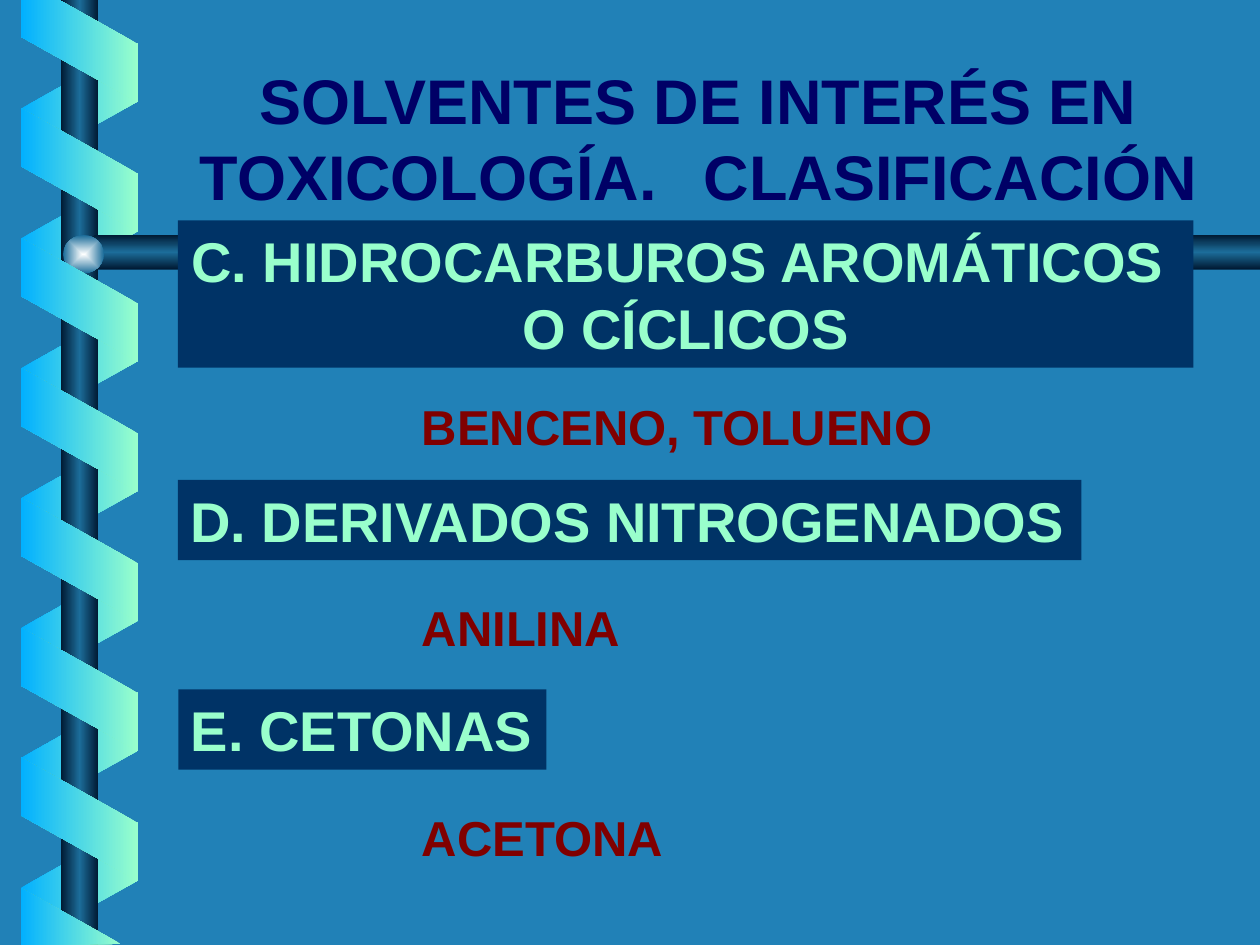
from pptx import Presentation
from pptx.dml.color import RGBColor
from pptx.enum.shapes import MSO_SHAPE
from pptx.enum.text import MSO_ANCHOR, MSO_AUTO_SIZE, PP_ALIGN
from pptx.oxml import parse_xml
from pptx.oxml.ns import nsdecls, qn
from pptx.util import Pt

RECTANGLE, OVAL, PARALLELOGRAM = MSO_SHAPE.RECTANGLE, MSO_SHAPE.OVAL, MSO_SHAPE.PARALLELOGRAM
CENTER, LEFT = PP_ALIGN.CENTER, PP_ALIGN.LEFT
TOP, MIDDLE = MSO_ANCHOR.TOP, MSO_ANCHOR.MIDDLE
NO_AUTOSIZE = MSO_AUTO_SIZE.NONE

BACKDROP = RGBColor(0x21, 0x81, 0xB7)
NAVY = RGBColor(0x00, 0x00, 0x66)
PANEL = RGBColor(0x00, 0x33, 0x66)
MINT = RGBColor(0x99, 0xFF, 0xCC)
SKY = RGBColor(0x01, 0xB0, 0xFF)
MAROON = RGBColor(0x80, 0x00, 0x00)
DARK = RGBColor(0x00, 0x19, 0x32)
STEEL = RGBColor(0x1C, 0x6D, 0x9A)
GLINT = RGBColor(0xFE, 0xFF, 0xFF)

TITLE = "SOLVENTES DE INTERÉS EN TOXICOLOGÍA. \tCLASIFICACIÓN"
TITLE_BOX = (102.2, 31.7, 594, 93.6)
GROUPS = [
    (["C. HIDROCARBUROS AROMÁTICOS ", "O CÍCLICOS"], CENTER, (101.6, 126, 580.4, 84.2)),
    (["D. DERIVADOS NITROGENADOS"], LEFT, (101.6, 274.2, 516.4, 45.9)),
    (["E. CETONAS"], LEFT, (102, 394, 210.2, 45.9)),
]
EXAMPLES = [
    ("BENCENO, TOLUENO ", (234, 223.2, 313.2, 41)),
    ("ANILINA", (234, 337.7, 127.4, 41)),
    ("ACETONA", (234, 457.9, 152.6, 41)),
]
TITLE_FONT = {"size": Pt(36), "color": NAVY}
GROUP_FONT = {"size": Pt(32), "color": MINT}
EXAMPLE_FONT = {"size": Pt(28), "color": MAROON}

BAND_LEFT, BAND_WIDTH, BAND_HEIGHT, BAND_STEP = 10.1, 70.6, 67, 74.2
BACK_TOP, BACK_COUNT = 26.5, 7
FRONT_TOP, FRONT_COUNT = 63.6, 6
BAND_SLANT = 0.56
POLE_BOX = (34.8, 0, 21.4, 540)
BALL_BOX = (36.2, 134.4, 23.2, 21.8)
BAR_POINTS = [(720, 134.2), (54.7, 134.2), (43.2, 144), (54.7, 154), (720, 154)]
RIBBON_START = [(12.2, 0), (12.2, 21.1), (78.8, 58.4), (78.8, 25.2), (33.8, 0)]
RIBBON_END = [(69, 539.4), (12.2, 507.6), (11.8, 540)]
TUBE = [(0, DARK), (50, STEEL), (100, DARK)]
BACK_RIBBON = [(0, SKY), (100, MINT)]
FRONT_RIBBON = [(0, MINT), (100, SKY)]
BALL = [(0, GLINT), (100, STEEL)]


def points(box):
    return [Pt(length) for length in box]


def plain(shape):
    shape.shadow.inherit = False
    shape.line.fill.background()
    return shape


def shade(shape, stops, angle=None):
    plain(shape).fill.gradient()
    stop_xml = "".join(
        f'<a:gs pos="{position * 1000}"><a:srgbClr val="{color}"/></a:gs>'
        for position, color in stops
    )
    if angle is None:
        direction = '<a:path path="rect"><a:fillToRect l="50000" t="50000" r="50000" b="50000"/></a:path>'
    else:
        direction = f'<a:lin ang="{angle * 60000}" scaled="1"/>'
    gradient = parse_xml(
        f'<a:gradFill {nsdecls("a")} rotWithShape="0">'
        f"<a:gsLst>{stop_xml}</a:gsLst>{direction}</a:gradFill>"
    )
    properties = shape._element.spPr
    properties.replace(properties.find(qn("a:gradFill")), gradient)


def add_bands(shapes, first_top, count, stops, rotation, mirrored):
    for index in range(count):
        box = (BAND_LEFT, first_top + index * BAND_STEP, BAND_WIDTH, BAND_HEIGHT)
        band = shapes.add_shape(PARALLELOGRAM, *points(box))
        band.adjustments[0] = BAND_SLANT
        band.rotation = rotation
        if mirrored:
            band._element.spPr.xfrm.set("flipH", "1")
        shade(band, stops, 180)


def add_outline(shapes, corners, stops, angle):
    start, *others = [points(corner) for corner in corners]
    builder = shapes.build_freeform(*start)
    builder.add_line_segments(others, close=True)
    shade(builder.convert_to_shape(), stops, angle)


def write(shape, lines, style, align=LEFT, wrap=False, anchor=TOP):
    frame = shape.text_frame
    frame.auto_size = NO_AUTOSIZE
    frame.word_wrap = wrap
    frame.vertical_anchor = anchor
    frame.text = "\n".join(lines)
    for paragraph in frame.paragraphs:
        paragraph.alignment = align
        font = paragraph.runs[0].font
        for name, value in {"name": "Arial", "bold": True, "size": style["size"]}.items():
            setattr(font, name, value)
        font.color.rgb = style["color"]


def main():
    deck = Presentation()
    deck.slide_width, deck.slide_height = Pt(720), Pt(540)
    slide = deck.slides.add_slide(deck.slide_layouts[5])
    slide.background.fill.solid()
    slide.background.fill.fore_color.rgb = BACKDROP
    shapes = slide.shapes

    add_bands(shapes, BACK_TOP, BACK_COUNT, BACK_RIBBON, 90, True)
    shade(shapes.add_shape(RECTANGLE, *points(POLE_BOX)), TUBE, 180)
    add_outline(shapes, BAR_POINTS, TUBE, 90)
    shade(shapes.add_shape(OVAL, *points(BALL_BOX)), BALL)
    add_bands(shapes, FRONT_TOP, FRONT_COUNT, FRONT_RIBBON, 270, False)
    for corners in (RIBBON_START, RIBBON_END):
        add_outline(shapes, corners, FRONT_RIBBON, 180)

    title = shapes.title
    title.left, title.top, title.width, title.height = points(TITLE_BOX)
    write(title, [TITLE], TITLE_FONT, CENTER, True, MIDDLE)
    shapes._spTree.append(title._element)

    for (lines, align, group_box), (example, example_box) in zip(GROUPS, EXAMPLES):
        group = plain(shapes.add_shape(RECTANGLE, *points(group_box)))
        group.fill.solid()
        group.fill.fore_color.rgb = PANEL
        write(group, lines, GROUP_FONT, align)
        write(shapes.add_textbox(*points(example_box)), [example], EXAMPLE_FONT)

    deck.save("out.pptx")


if __name__ == "__main__":
    main()
